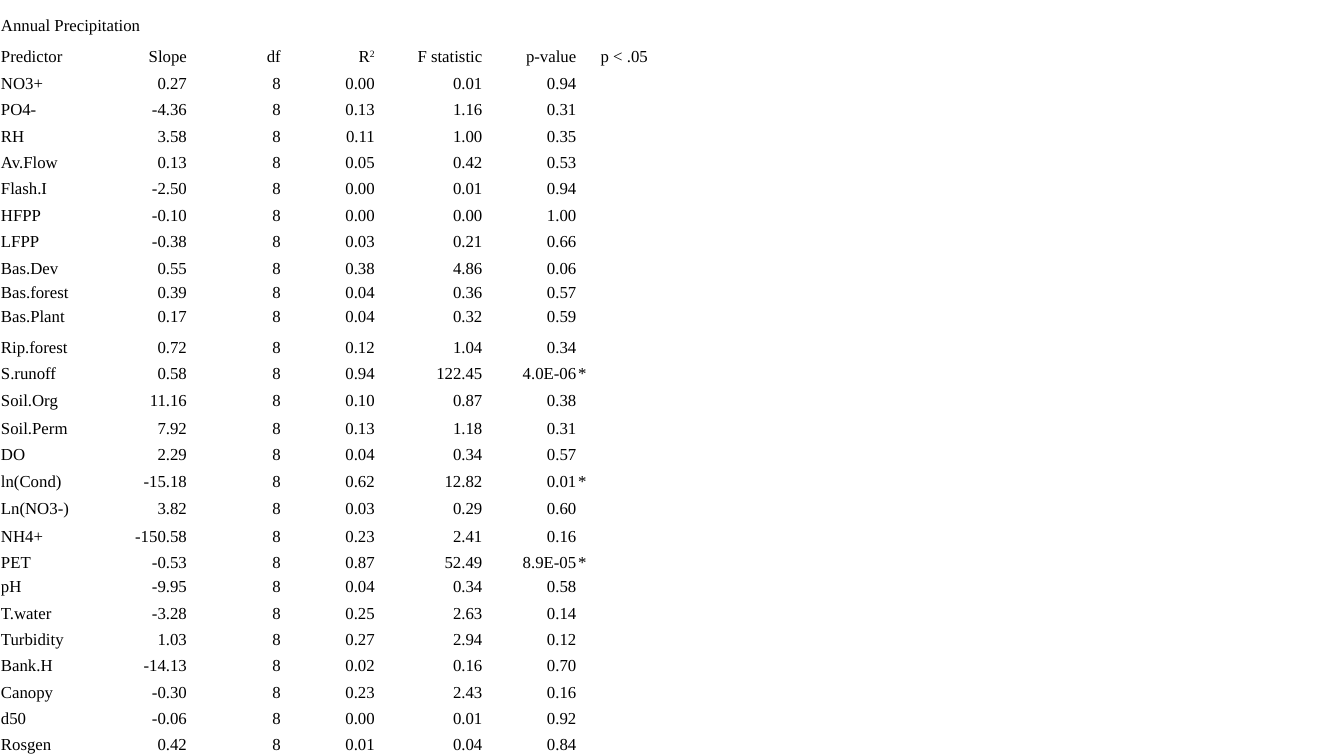
from lxml import etree
from pptx import Presentation
from pptx.dml.color import RGBColor
from pptx.enum import text
from pptx.oxml import ns
from pptx.util import Pt

TITLE = "Annual Precipitation"
HEADERS = ["Predictor", "Slope", "df", "R", "F statistic", "p-value", "p < .05"]
DEGREES_OF_FREEDOM = "8"
# Predictor, slope, R squared, F statistic, p-value and, if significant, a star
RESULTS = """
NO3+ 0.27 0.00 0.01 0.94
PO4- -4.36 0.13 1.16 0.31
RH 3.58 0.11 1.00 0.35
Av.Flow 0.13 0.05 0.42 0.53
Flash.I -2.50 0.00 0.01 0.94
HFPP -0.10 0.00 0.00 1.00
LFPP -0.38 0.03 0.21 0.66
Bas.Dev 0.55 0.38 4.86 0.06
Bas.forest 0.39 0.04 0.36 0.57
Bas.Plant 0.17 0.04 0.32 0.59
Rip.forest 0.72 0.12 1.04 0.34
S.runoff 0.58 0.94 122.45 4.0E-06 *
Soil.Org 11.16 0.10 0.87 0.38
Soil.Perm 7.92 0.13 1.18 0.31
DO 2.29 0.04 0.34 0.57
ln(Cond) -15.18 0.62 12.82 0.01 *
Ln(NO3-) 3.82 0.03 0.29 0.60
NH4+ -150.58 0.23 2.41 0.16
PET -0.53 0.87 52.49 8.9E-05 *
pH -9.95 0.04 0.34 0.58
T.water -3.28 0.25 2.63 0.14
Turbidity 1.03 0.27 2.94 0.12
Bank.H -14.13 0.02 0.16 0.70
Canopy -0.30 0.23 2.43 0.16
d50 -0.06 0.00 0.01 0.92
Rosgen 0.42 0.01 0.04 0.84
"""
COLUMN_WIDTHS = [67.1] * 4 + [76.9] + [67.1] * 2
ROW_HEIGHT = 18.86
SPECIAL_ROW_HEIGHTS = {0: 25.2, 1: 22.4, 10: 17.2, 11: 17.2, 12: 22.4,
                       15: 20, 18: 19.4, 19: 20, 21: 17.2}
NO_STYLE_NO_GRID = "{2D5ABB26-0587-4C30-8999-92F81FD0307C}"
LEFT, CENTER, RIGHT = (text.PP_ALIGN.LEFT, text.PP_ALIGN.CENTER,
                       text.PP_ALIGN.RIGHT)


def color(hex_string):
    return RGBColor.from_string(hex_string)


def table_rows():
    """Return the title, header and result rows, each with seven texts."""
    rows = [[TITLE] + [""] * 6, HEADERS]
    for line in RESULTS.strip().splitlines():
        predictor, slope, *statistics = line.split()
        row = [predictor, slope, DEGREES_OF_FREEDOM, *statistics]
        rows.append(row + [""] * (len(HEADERS) - len(row)))
    return rows


class SlideBuilder:
    font_name = "Times New Roman"
    font_size = 12
    font_color = "000000"
    cell_margin = 0.7

    def __init__(self, slide):
        self.slide = slide

    def add_text(self, paragraph, words, align=LEFT, superscript=False):
        paragraph.alignment = align
        if not words:
            # The end mark keeps an empty cell from stretching its row
            end_mark = etree.SubElement(paragraph._p, ns.qn("a:endParaRPr"))
            end_mark.set("sz", str(self.font_size * 100))
            return
        run = paragraph.add_run()
        run.text = words
        run.font.name = self.font_name
        run.font.size = Pt(self.font_size)
        run.font.color.rgb = color(self.font_color)
        if superscript:
            run._r.get_or_add_rPr().set("baseline", "30000")

    def cell(self, cell, words, align):
        cell.fill.background()
        cell.vertical_anchor = text.MSO_ANCHOR.BOTTOM
        cell.margin_left = cell.margin_right = Pt(self.cell_margin)
        cell.margin_top, cell.margin_bottom = Pt(self.cell_margin), Pt(0)
        self.add_text(cell.text_frame.paragraphs[0], words, align=align)

    def table(self, rows, widths, heights, alignment):
        frame = self.slide.shapes.add_table(
            len(rows), len(widths), Pt(0), Pt(0),
            Pt(sum(widths)), Pt(sum(heights)))
        table = frame.table
        table.first_row = table.horz_banding = False
        next(frame.element.iter(ns.qn("a:tableStyleId"))).text = NO_STYLE_NO_GRID
        for column, width in zip(table.columns, widths):
            column.width = Pt(width)
        for row_index, (row, height) in enumerate(zip(rows, heights)):
            table.rows[row_index].height = Pt(height)
            for column_index, words in enumerate(row):
                self.cell(table.cell(row_index, column_index), words,
                          alignment(row_index, column_index))
        return table


def alignment(row_index, column_index):
    if column_index == 0:
        return LEFT
    if column_index == len(HEADERS) - 1:
        return CENTER if row_index == 1 else LEFT
    return RIGHT


def main():
    presentation = Presentation()
    presentation.slide_width, presentation.slide_height = Pt(960), Pt(540)
    builder = SlideBuilder(
        presentation.slides.add_slide(presentation.slide_layouts[6]))

    rows = table_rows()
    heights = [SPECIAL_ROW_HEIGHTS.get(index, ROW_HEIGHT)
               for index in range(len(rows))]
    table = builder.table(rows, COLUMN_WIDTHS, heights, alignment)
    table.cell(0, 0).merge(table.cell(0, 1))
    r_squared = table.cell(1, HEADERS.index("R")).text_frame.paragraphs[0]
    builder.add_text(r_squared, "2", align=RIGHT, superscript=True)

    presentation.save("out.pptx")


if __name__ == "__main__":
    main()
